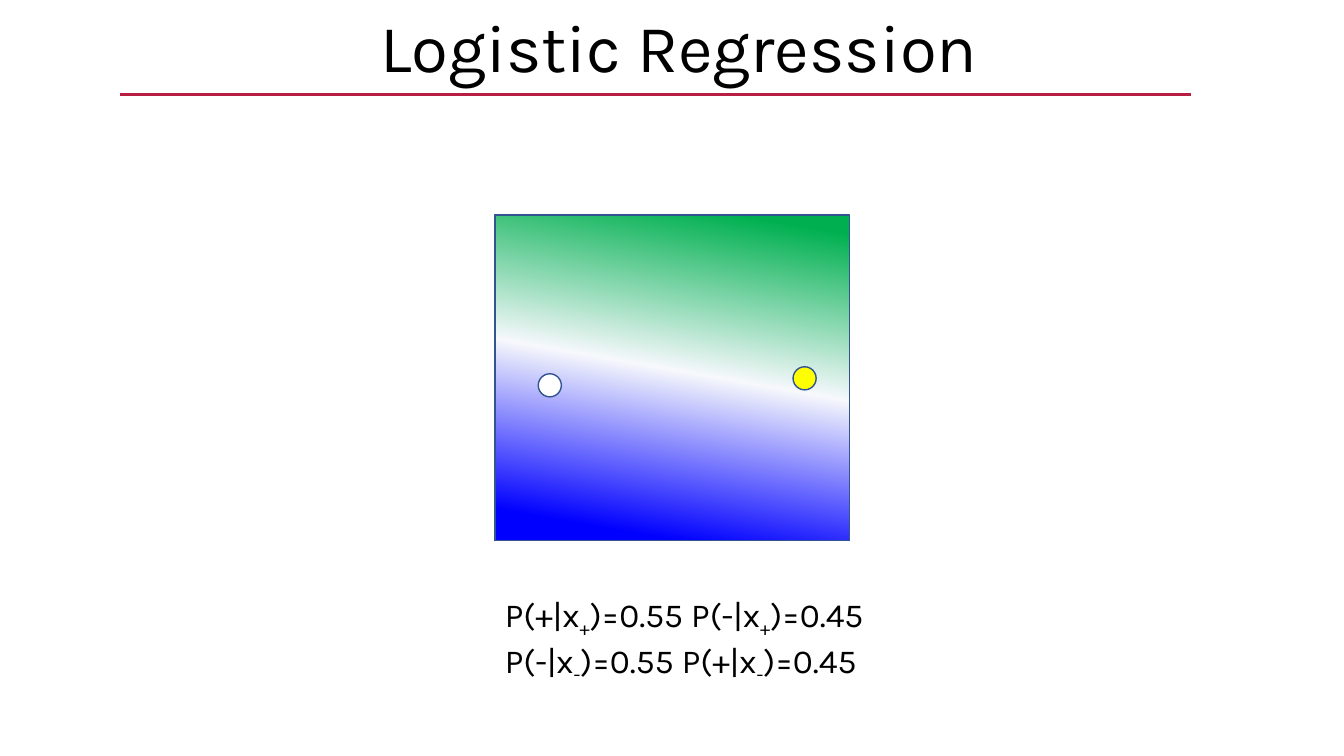
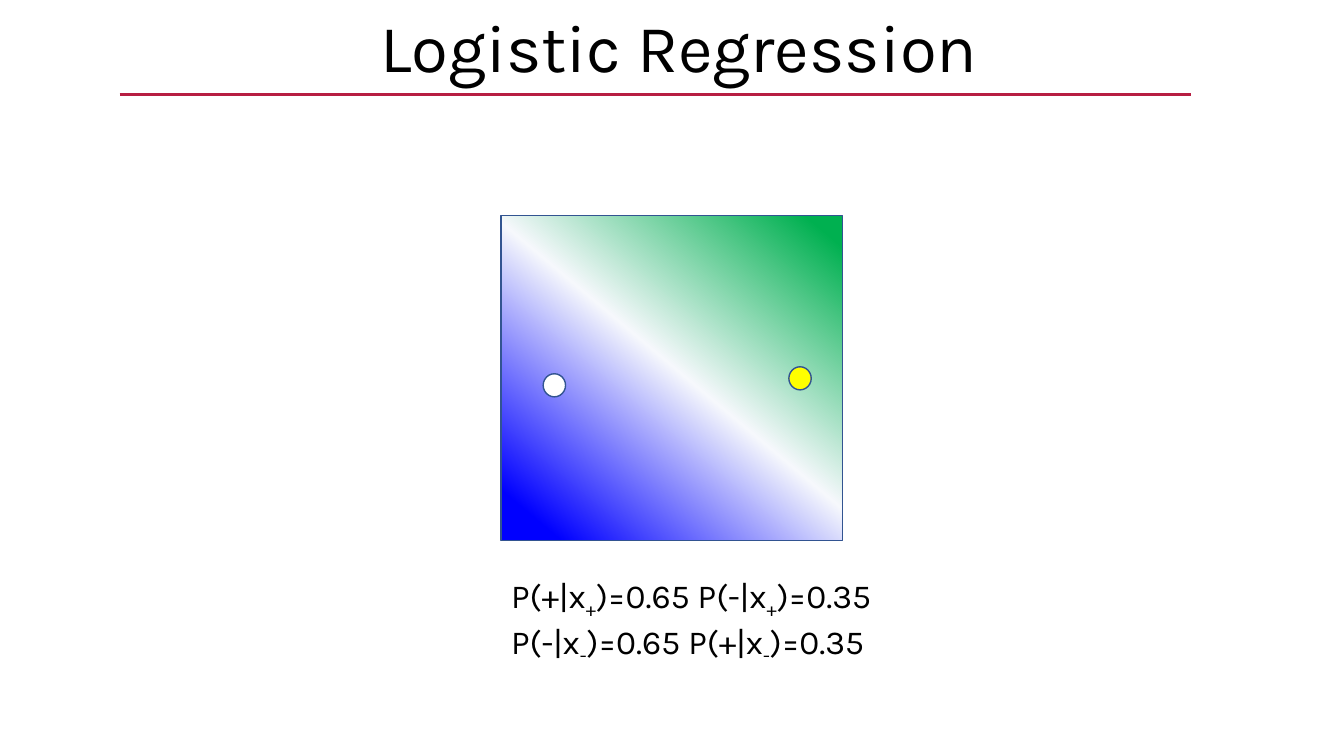
from lxml.etree import SubElement
from pptx import Presentation
from pptx.dml.color import RGBColor
from pptx.enum.shapes import MSO_CONNECTOR, MSO_SHAPE
from pptx.enum.text import PP_ALIGN
from pptx.oxml.ns import qn
from pptx.util import Pt


def rgb(value):
    return RGBColor.from_string(value)


def add_run(p, text, font="Karla", size=24, color="000000", baseline=0):
    r = p.add_run()
    r.text = text
    r.font.name = font
    r.font.size = Pt(size)
    r.font.color.rgb = rgb(color)
    if baseline:
        r._r.get_or_add_rPr().set("baseline", str(baseline * 1000))


class Deck:
    """Holds the shared style and the current slide."""

    RULE = "B71E42"
    OUTLINE = "325491"
    STOPS = ((5, "00B050"), (48, "F6F8FC"), (92, "0000FF"))

    def __init__(self):
        self.prs = Presentation()
        self.prs.slide_width, self.prs.slide_height = Pt(960), Pt(540)

    def slide(self, title):
        self.s = self.prs.slides.add_slide(self.prs.slide_layouts[6])
        p = self.text_frame(5, 0, 960, 65.5).paragraphs[0]
        p.alignment = PP_ALIGN.CENTER
        add_run(p, title, size=48)
        self.rule(85.5, 850.5, 67.5)

    def text_frame(self, x, y, w, h):
        tf = self.s.shapes.add_textbox(Pt(x), Pt(y), Pt(w), Pt(h)).text_frame
        tf.word_wrap = True
        return tf

    def rule(self, x1, x2, y):
        sp = self.s.shapes.add_connector(MSO_CONNECTOR.STRAIGHT, Pt(x1), Pt(y), Pt(x2), Pt(y))
        sp.line.color.rgb = rgb(self.RULE)
        sp.line.width = Pt(2.5)
        SubElement(sp._element.spPr, qn("a:effectLst"))

    def shape(self, kind, x, y, w, h):
        sp = self.s.shapes.add_shape(kind, Pt(x), Pt(y), Pt(w), Pt(h))
        sp.shadow.inherit = False
        sp.line.color.rgb = rgb(self.OUTLINE)
        sp.line.width = Pt(1)
        return sp

    def field(self, x, y, w, h, angle):
        sp = self.shape(MSO_SHAPE.RECTANGLE, x, y, w, h)
        sp.fill.gradient()
        sp.fill.gradient_angle = 360 - angle
        stops = sp._element.spPr.find(qn("a:gradFill")).find(qn("a:gsLst"))
        for gs in list(stops):
            stops.remove(gs)
        for position, color in self.STOPS:
            gs = SubElement(stops, qn("a:gs"), pos=str(position * 1000))
            SubElement(gs, qn("a:srgbClr"), val=color)

    def dot(self, x, y, w, color):
        sp = self.shape(MSO_SHAPE.OVAL, x, y, w, 16.5)
        sp.fill.solid()
        sp.fill.fore_color.rgb = rgb(color)

    def probabilities(self, x, y, right, wrong):
        tf = self.text_frame(x, y, 276.5, 65.5)
        for i, (sign, other) in enumerate(("+-", "-+")):
            p = tf.add_paragraph() if i else tf.paragraphs[0]
            add_run(p, f"P({sign}|x")
            add_run(p, sign, baseline=-25)
            add_run(p, f")={right} P({other}|x")
            add_run(p, sign, baseline=-25)
            add_run(p, f")={wrong}")


def main():
    deck = Deck()
    for x, y, w, angle, dot_w, yellow_x, white_x, text_y, right, wrong in (
        (353.5, 153.5, 253.5, 100, 16.5, 566.5, 384.5, 420.5, "0.55", "0.45"),
        (358, 154, 244, 130, 16, 563.5, 388, 407, "0.65", "0.35"),
    ):
        deck.slide("Logistic Regression")
        deck.field(x, y, w, 386 - y, angle)
        deck.dot(yellow_x, 262, dot_w, "FFFF00")
        deck.dot(white_x, 267, dot_w, "FFFFFF")
        deck.probabilities(x, text_y, right, wrong)
    deck.prs.save("out.pptx")


if __name__ == "__main__":
    main()
